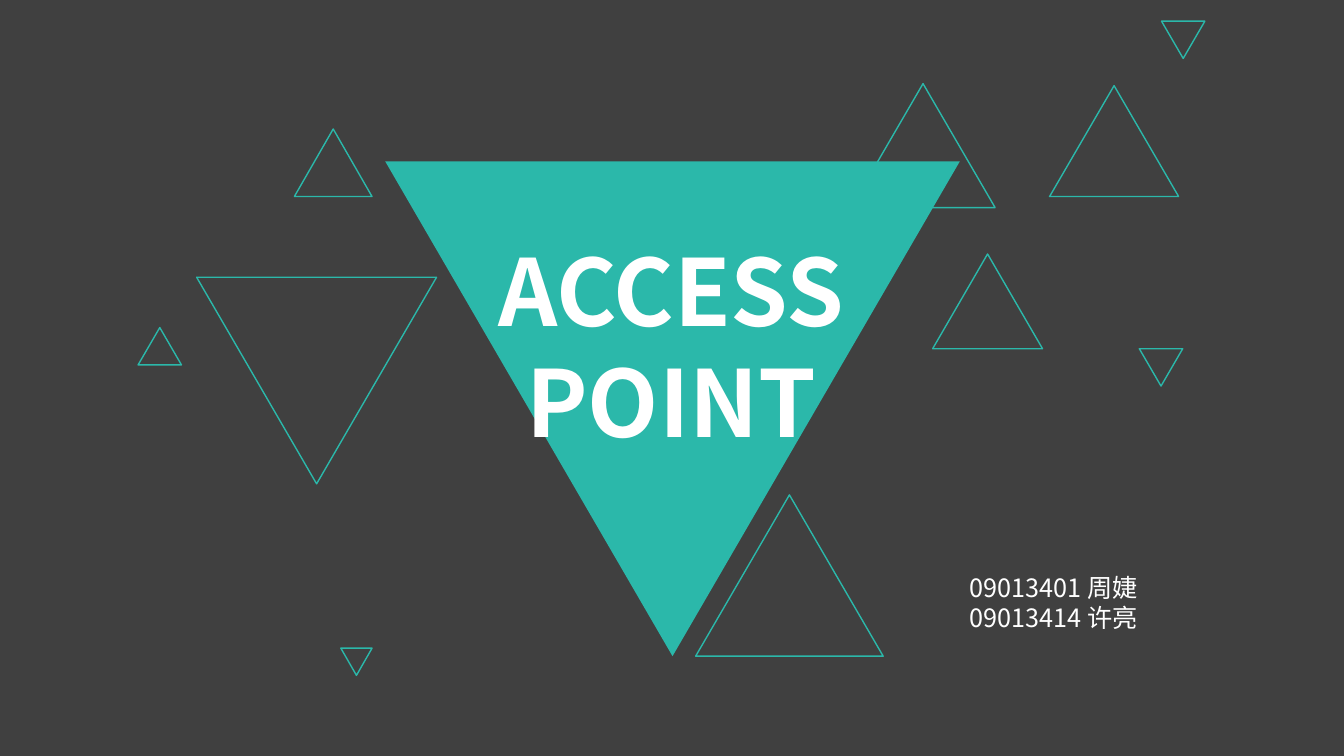
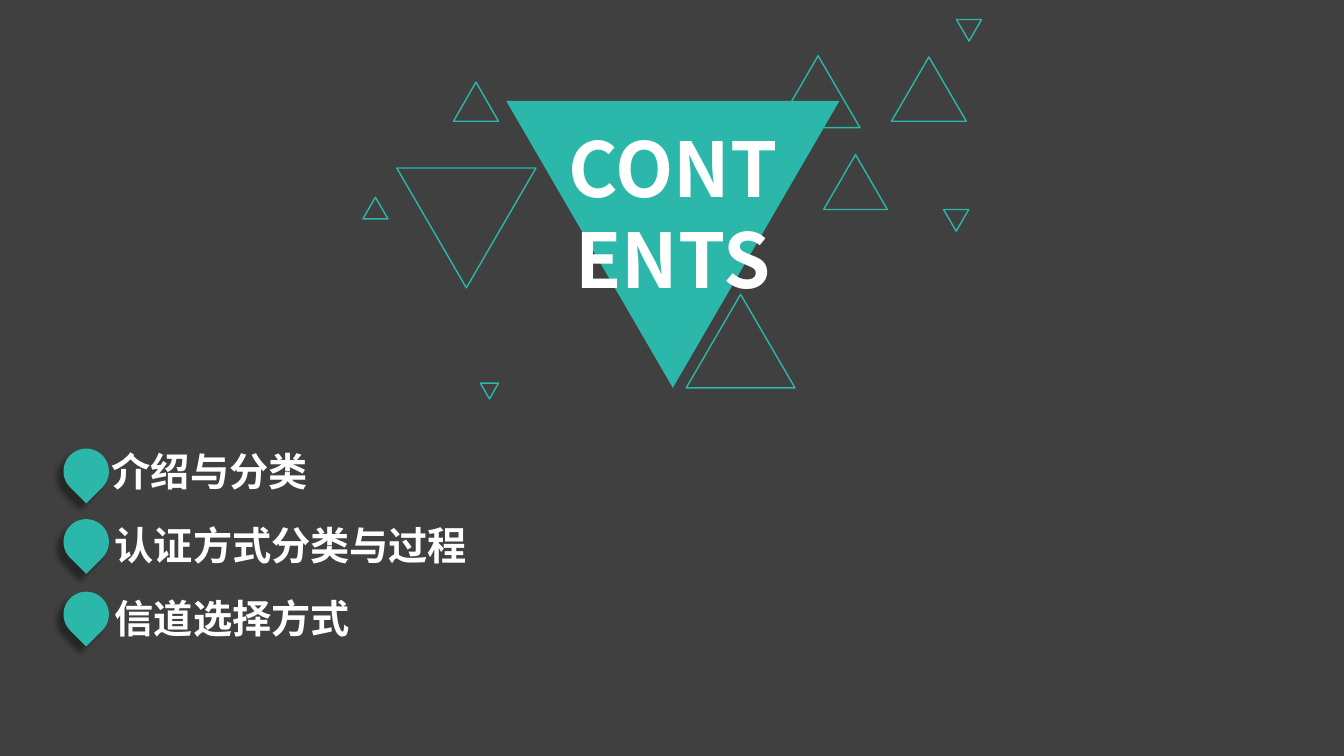
from dataclasses import dataclass

from lxml import etree
from pptx import Presentation
from pptx.dml.color import RGBColor
from pptx.enum.shapes import MSO_SHAPE as Shape
from pptx.enum.text import MSO_ANCHOR as Anchor
from pptx.enum.text import MSO_AUTO_SIZE as AutoSize
from pptx.enum.text import PP_ALIGN as Align
from pptx.oxml.ns import qn
from pptx.util import Inches, Pt

COLOURS = {"background": "404040", "accent": "2BB8AA", "text": "FFFFFF", "shadow": "000000"}
FONT = "Noto Sans CJK SC"


@dataclass(frozen=True)
class Triangle:
    left: float
    top: float
    width: float
    height: float
    inverted: bool = False
    filled: bool = False


@dataclass(frozen=True)
class TextStyle:
    size: int
    bold: bool = False
    align: Align = Align.LEFT


@dataclass(frozen=True)
class Item:
    text: str
    left: float
    drop_top: float


HERO = Triangle(3.82, 1.6, 5.7, 4.91, inverted=True, filled=True)
TRIANGLES = (
    HERO,
    Triangle(1.95, 2.75, 2.38, 2.05, inverted=True),
    Triangle(6.9, 4.91, 1.86, 1.6),
    Triangle(8.44, 0.83, 1.43, 1.23),
    Triangle(9.25, 2.52, 1.09, 0.94),
    Triangle(2.92, 1.28, 0.77, 0.67),
    Triangle(1.37, 3.25, 0.43, 0.37),
    Triangle(11.3, 3.46, 0.43, 0.37, inverted=True),
    Triangle(3.38, 6.43, 0.31, 0.27, inverted=True),
    Triangle(10.41, 0.85, 1.28, 1.1),
    Triangle(11.52, 0.21, 0.43, 0.37, inverted=True),
)
ITEMS = (
    Item("介绍与分类", 1.01, 4.45),
    Item("认证方式分类与过程", 1.04, 5.15),
    Item("信道选择方式", 1.04, 5.87),
)
ITEM_TOP, ITEM_PITCH = 4.39, 0.73


def colour(name: str) -> RGBColor:
    return RGBColor.from_string(COLOURS[name])


def place(shape, left: float, top: float, width: float, height: float) -> None:
    shape.left, shape.top = Inches(left), Inches(top)
    shape.width, shape.height = Inches(width), Inches(height)


def write(box, text: str, style: TextStyle) -> None:
    frame = box.text_frame
    frame.text = text
    frame.word_wrap = True
    frame.auto_size = AutoSize.NONE
    frame.vertical_anchor = Anchor.TOP
    for para in frame.paragraphs:
        para.alignment = style.align
        font = para.font
        font.name = FONT
        font.size = Pt(style.size)
        font.bold = style.bold
        font.color.rgb = colour("text")
        properties = para._p.find(".//" + qn("a:defRPr"))
        etree.SubElement(properties, qn("a:ea"), typeface=FONT)


def add_text(page, text: str, left: float, top: float, width: float, height: float,
             style: TextStyle) -> None:
    box = page.shapes.add_textbox(Inches(left), Inches(top), Inches(width), Inches(height))
    write(box, text, style)


def add_triangles(page, left: float, top: float, scale: float) -> None:
    for triangle in TRIANGLES:
        shape = page.shapes.add_shape(
            Shape.ISOSCELES_TRIANGLE,
            Inches(left + (triangle.left - HERO.left) * scale),
            Inches(top + (triangle.top - HERO.top) * scale),
            Inches(triangle.width * scale),
            Inches(triangle.height * scale),
        )
        shape.shadow.inherit = False
        shape.rotation = 180 if triangle.inverted else 0
        if triangle.filled:
            shape.fill.solid()
            shape.fill.fore_color.rgb = colour("accent")
            shape.line.fill.background()
        else:
            shape.fill.background()
            shape.line.color.rgb = colour("accent")
            shape.line.width = Pt(1)


def add_drop(page, top: float) -> None:
    drop = page.shapes.add_shape(
        Shape.TEAR, Inches(0.63), Inches(top), Inches(0.45), Inches(0.45))
    drop.rotation = 135
    drop.fill.solid()
    drop.fill.fore_color.rgb = colour("accent")
    drop.line.fill.background()
    drop.shadow.inherit = False
    effects = drop.element.spPr.find(qn("a:effectLst"))
    shadow = etree.SubElement(
        effects, qn("a:outerShdw"), blurRad=str(Pt(4)), dist=str(Pt(7)),
        dir=str(135 * 60000), algn="tr", rotWithShape="0")
    tint = etree.SubElement(shadow, qn("a:srgbClr"), val=COLOURS["shadow"])
    etree.SubElement(tint, qn("a:alpha"), val="40000")


def add_title(page, text: str, left: float, top: float, width: float, height: float,
              size: int) -> None:
    title = page.shapes.title
    place(title, left, top, width, height)
    write(title, text, TextStyle(size, True, Align.CENTER))
    title.element.getparent().append(title.element)


def build_cover(page) -> None:
    add_triangles(page, HERO.left, HERO.top, 1)
    add_title(page, "ACCESS\nPOINT", 1.38, 2.27, 10.56, 2.32, 66)
    add_text(page, "09013401 周婕\n09013414 许亮", 9.52, 5.63, 2.74, 0.71, TextStyle(18))


def build_contents(page) -> None:
    add_triangles(page, 5.02, 1, 0.58)
    add_title(page, "CONT\nENTS", 4.16, 1.16, 5.03, 2.26, 54)
    for index, item in enumerate(ITEMS):
        add_text(page, item.text, item.left, ITEM_TOP + index * ITEM_PITCH, 5.69, 0.57,
                 TextStyle(28, True))
        add_drop(page, item.drop_top)


def main() -> None:
    deck = Presentation()
    deck.slide_width, deck.slide_height = Inches(13.33), Inches(7.5)
    backdrop = deck.slide_master.background.fill
    backdrop.solid()
    backdrop.fore_color.rgb = colour("background")
    for build in (build_cover, build_contents):
        build(deck.slides.add_slide(deck.slide_layouts[5]))
    deck.save("out.pptx")


if __name__ == "__main__":
    main()
